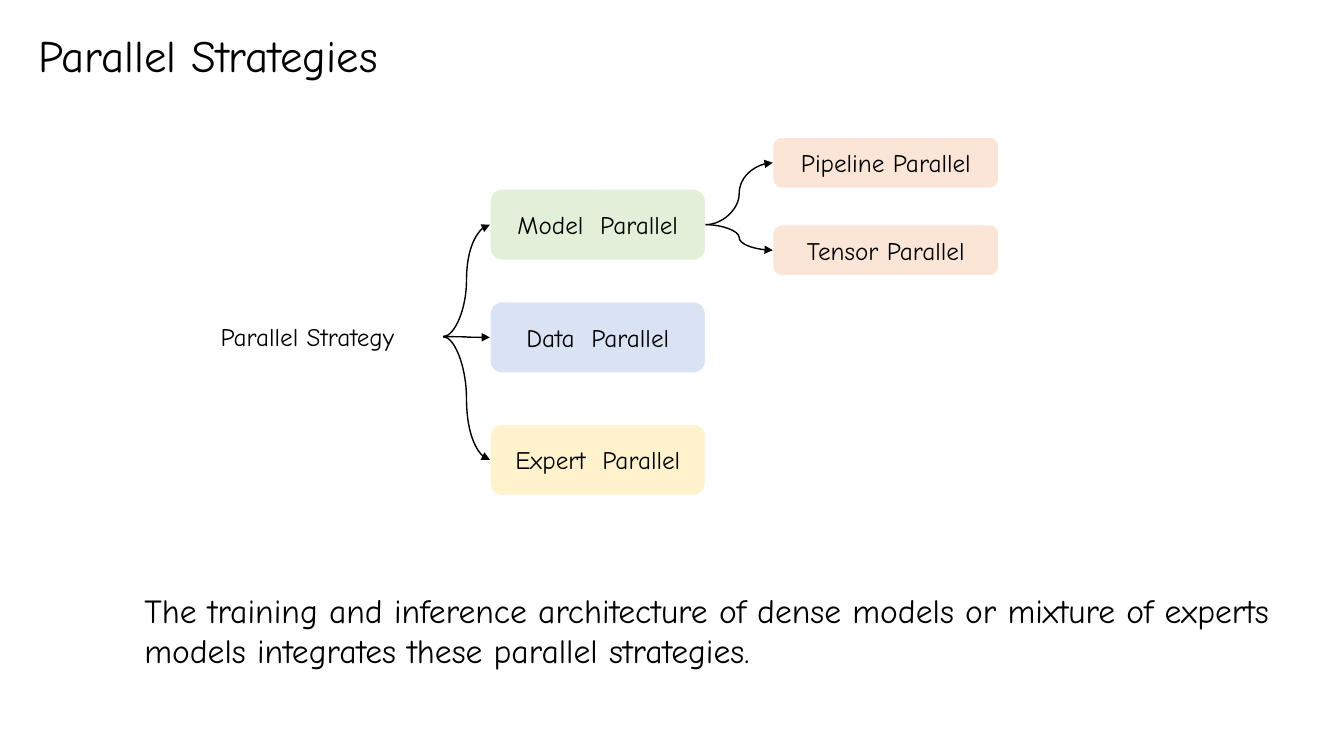
from lxml.etree import SubElement
from pptx import Presentation
from pptx.dml.color import RGBColor
from pptx.enum.shapes import MSO_CONNECTOR, MSO_SHAPE
from pptx.enum.text import MSO_ANCHOR, MSO_AUTO_SIZE, PP_ALIGN
from pptx.oxml.ns import qn
from pptx.util import Pt

FONT = "Comic Neue"
COLORS = {
    "text": "000000",
    "outline": "FFFFFF",
    "model": "E2F0D9",
    "data": "DAE3F3",
    "expert": "FFF2CC",
    "split": "FBE5D6",
}
LEFT_SITE, RIGHT_SITE = 1, 3


def color(name):
    return RGBColor.from_string(COLORS[name])


def write(shape, text, size, align=PP_ALIGN.LEFT, anchor=MSO_ANCHOR.TOP):
    frame = shape.text_frame
    frame.text = text
    frame.word_wrap = True
    frame.auto_size = MSO_AUTO_SIZE.NONE
    frame.vertical_anchor = anchor
    paragraph = frame.paragraphs[0]
    paragraph.alignment = align
    for run in paragraph.runs:
        run.font.name = FONT
        run.font.size = Pt(size)
        run.font.color.rgb = color("text")


def add_title(slide, text):
    title = slide.shapes.title
    title.left, title.top, title.width, title.height = Pt(20), Pt(16), Pt(361), Pt(46)
    write(title, text, 32)


def add_label(slide, text, left, top, width, height, size):
    label = slide.shapes.add_textbox(Pt(left), Pt(top), Pt(width), Pt(height))
    write(label, text, size)
    return label


def add_strategy(slide, text, fill, left, top, width, height):
    strategy = slide.shapes.add_shape(
        MSO_SHAPE.ROUNDED_RECTANGLE, Pt(left), Pt(top), Pt(width), Pt(height))
    strategy.shadow.inherit = False
    strategy.fill.solid()
    strategy.fill.fore_color.rgb = color(fill)
    strategy.line.color.rgb = color("outline")
    strategy.line.width = Pt(1)
    write(strategy, text, 18, PP_ALIGN.CENTER, MSO_ANCHOR.MIDDLE)
    return strategy


def add_branch(slide, parent, child):
    branch = slide.shapes.add_connector(MSO_CONNECTOR.CURVE, 0, 0, 0, 0)
    branch.begin_connect(parent, RIGHT_SITE)
    branch.end_connect(child, LEFT_SITE)
    branch.line.color.rgb = color("text")
    branch.line.width = Pt(1)
    SubElement(branch.line._get_or_add_ln(), qn("a:tailEnd"), type="triangle")
    SubElement(branch._element.spPr, qn("a:effectLst"))


def main():
    prs = Presentation()
    prs.slide_width, prs.slide_height = Pt(960), Pt(540)
    slide = prs.slides.add_slide(prs.slide_layouts[5])
    add_title(slide, "Parallel Strategies")

    root = add_label(slide, "Parallel Strategy", 150.5, 226, 166, 29, 18)
    strategies = [
        add_strategy(slide, text, fill, 350, top, 154, 51)
        for text, fill, top in (
            ("Model  Parallel", "model", 135),
            ("Data  Parallel", "data", 215.5),
            ("Expert  Parallel", "expert", 303),
        )
    ]
    model_splits = [
        add_strategy(slide, text, "split", 552, top, 161.5, 36.5)
        for text, top in (("Pipeline Parallel", 98), ("Tensor Parallel", 160.5))
    ]
    for strategy in strategies:
        add_branch(slide, root, strategy)
    for split in model_splits:
        add_branch(slide, strategies[0], split)

    add_label(
        slide,
        "The training and inference architecture of dense models or mixture of "
        "experts models integrates these parallel strategies.",
        96, 417.5, 841, 65.5, 24)
    prs.save("out.pptx")


if __name__ == "__main__":
    main()
